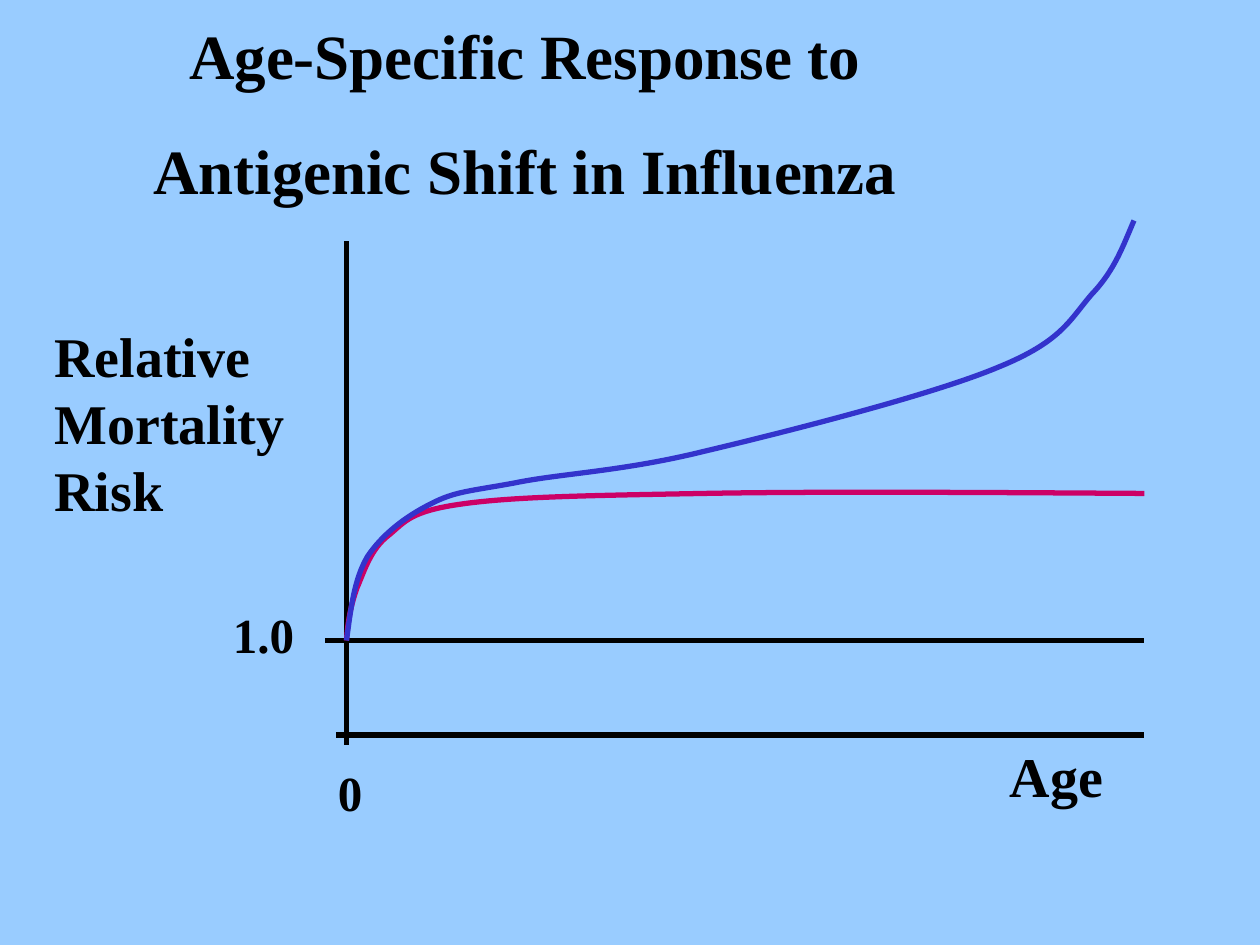
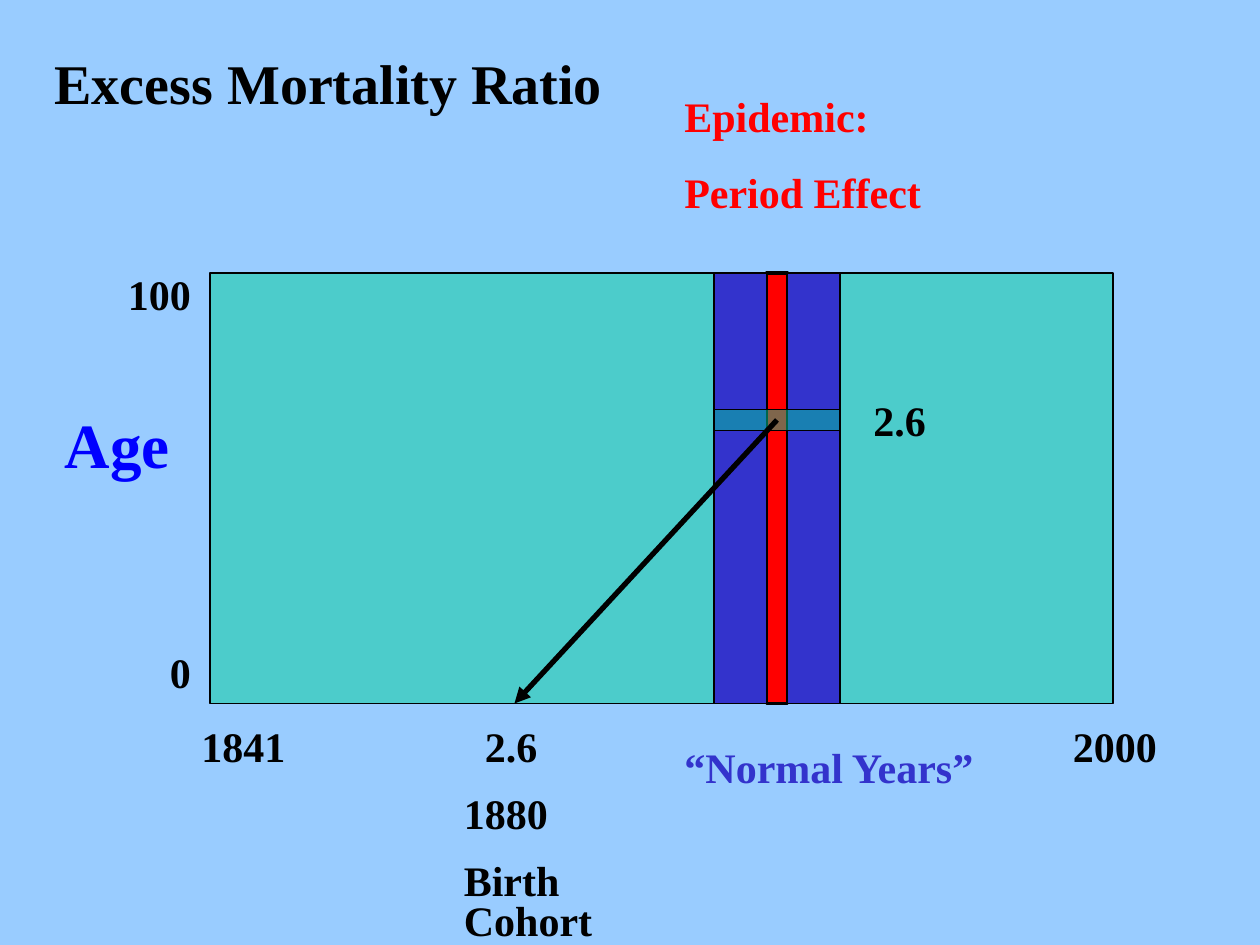
"""Build two slides on age-specific influenza mortality and the excess mortality ratio."""
import pptx
import pptx.util
import pptx.dml.color
import pptx.enum.shapes
import pptx.enum.text
import pptx.oxml.ns
from lxml import etree

PX = 7620
BLACK, RED, BLUE, INDIGO = "000000", "FF0000", "0000FF", "3333CC"
GREEN, MAGENTA, SKY = "00CC99", "CC0066", "99CCFF"
LEFT, CENTER = pptx.enum.text.PP_ALIGN.LEFT, pptx.enum.text.PP_ALIGN.CENTER
RECT = pptx.enum.shapes.MSO_SHAPE.RECTANGLE
STRAIGHT = pptx.enum.shapes.MSO_CONNECTOR.STRAIGHT
qn = pptx.oxml.ns.qn


def paint(fill, colour):
    """Give a fill a solid hex colour."""
    fill.solid()
    fill.fore_color.rgb = pptx.dml.color.RGBColor.from_string(colour)


def write(sp, box, lines, size, colour=BLACK, align=LEFT, spacing=None):
    """Place a text shape and fill it with bold paragraphs."""
    for name, value in zip(("left", "top", "width", "height"), box):
        setattr(sp, name, value * PX)
    tf = sp.text_frame
    frame = {"word_wrap": True, "auto_size": pptx.enum.text.MSO_AUTO_SIZE.NONE,
             "vertical_anchor": pptx.enum.text.MSO_ANCHOR.TOP}
    for name, value in frame.items():
        setattr(tf, name, value)
    for i, line in enumerate(lines):
        p = tf.add_paragraph() if i else tf.paragraphs[0]
        r = p.add_run()
        r.text = line
        gap = pptx.util.Pt(size * 0.625 if i else 0)
        for name, value in {"alignment": align, "space_before": gap, "line_spacing": spacing}.items():
            setattr(p, name, value)
        font = {"name": "Times New Roman", "size": pptx.util.Pt(size), "bold": True}
        for name, value in font.items():
            setattr(r.font, name, value)
        paint(r.font.fill, colour)
    return tf


prs = pptx.Presentation()
prs.slide_width, prs.slide_height = 1200 * PX, 900 * PX
paint(prs.slide_master.background.fill, SKY)
layout = prs.slide_layouts.get_by_name("Title Only")
response, ratio = [prs.slides.add_slide(layout) for _ in range(2)]

write(response.shapes.title, (100, 10, 800, 194),
      ["Age-Specific Response to", "Antigenic Shift in Influenza"], 36, align=CENTER)
write(ratio.shapes.title, (40, 40, 600, 77), ["Excess Mortality Ratio"], 32)

rects = [
    ((200, 260, 860, 410), GREEN, 0.75, 50),
    ((730, 260, 20, 410), RED, 2, 100),
    ((680, 260, 50, 410), INDIGO, 0.75, 100),
    ((750, 260, 50, 410), INDIGO, 0.75, 100),
    ((680, 390, 120, 20), GREEN, 0.75, 50),
]
for box, colour, width, opacity in rects:
    sp = ratio.shapes.add_shape(RECT, *[v * PX for v in box])
    sp.shadow.inherit = False
    paint(sp.fill, colour)
    paint(sp.line.fill, BLACK)
    sp.line.width = pptx.util.Pt(width)
    if opacity < 100:
        clr = sp._element.spPr.find(qn("a:solidFill"))[0]
        etree.SubElement(clr, qn("a:alpha")).set("val", str(opacity * 1000))

lines = [
    (response, (330, 230, 330, 710), False),
    (response, (320, 700, 1090, 700), False),
    (response, (310, 610, 1090, 610), False),
    (ratio, (740, 400, 490, 670), True),
]
for s, ends, arrow in lines:
    cn = s.shapes.add_connector(STRAIGHT, *[v * PX for v in ends])
    paint(cn.line.fill, BLACK)
    cn.line.width = pptx.util.Pt(3)
    if arrow:
        etree.SubElement(cn.line._get_or_add_ln(), qn("a:tailEnd")).set("type", "triangle")
    etree.SubElement(cn._element.spPr, qn("a:effectLst"))

curves = {
    MAGENTA: [(330, 610), (331, 593), (334, 577), (340, 560), (347, 544), (353, 523), (370, 510),
              (386, 497), (390, 487), (440, 480), (490, 473), (562, 472), (670, 470),
              (779, 468), (934, 469), (1090, 470)],
    INDIGO: [(330, 610), (334, 581), (337, 552), (350, 530), (364, 509), (386, 492), (410, 480),
             (433, 468), (446, 468), (490, 460), (533, 451), (593, 449), (670, 430),
             (746, 412), (888, 376), (950, 350), (1012, 325), (1019, 304), (1040, 280),
             (1062, 257), (1070, 233), (1080, 210)],
}
for colour, points in curves.items():
    fb = response.shapes.build_freeform(*points[0], scale=PX)
    fb.add_line_segments(points[1:], close=False)
    sp = fb.convert_to_shape()
    sp.shadow.inherit = False
    sp.fill.background()
    paint(sp.line.fill, colour)
    sp.line.width = pptx.util.Pt(3)
    outline = next(sp._element.iter(qn("a:path")))
    segments = outline.findall(qn("a:lnTo"))
    for i in range(0, len(segments), 3):
        bezier = etree.SubElement(outline, qn("a:cubicBezTo"))
        for segment in segments[i:i + 3]:
            bezier.append(segment[0])
            outline.remove(segment)

labels = [
    (response, (950, 700, 210, 77), ["Age"], 32, BLACK),
    (response, (210, 570, 100, 68), ["1.0"], 28, BLACK),
    (response, (40, 300, 250, 204), ["Relative Mortality Risk"], 32, BLACK),
    (response, (310, 720, 100, 68), ["0"], 28, BLACK),
    (ratio, (640, 80, 290, 133), ["Epidemic:", "Period Effect"], 24, RED),
    (ratio, (640, 700, 320, 60), ["“Normal Years”"], 24, INDIGO),
    (ratio, (50, 380, 140, 84), ["Age"], 36, BLUE),
    (ratio, (110, 250, 90, 60), ["100"], 24, BLACK),
    (ratio, (180, 680, 130, 60), ["1841"], 24, BLACK),
    (ratio, (150, 610, 60, 60), ["0"], 24, BLACK),
    (ratio, (1010, 680, 120, 60), ["2000"], 24, BLACK),
    (ratio, (820, 370, 100, 60), ["2.6"], 24, BLACK),
]
for s, box, text, size, colour in labels:
    write(s.shapes.add_textbox(0, 0, 0, 0), box, text, size, colour)

tf = write(ratio.shapes.add_textbox(0, 0, 0, 0), (430, 690, 230, 216),
           ["2.6", "1880", "Birth Cohort"], 24, spacing=0.8)
tf.paragraphs[0]._p.get_or_add_pPr().set("marL", str(20 * PX))

prs.save("out.pptx")
